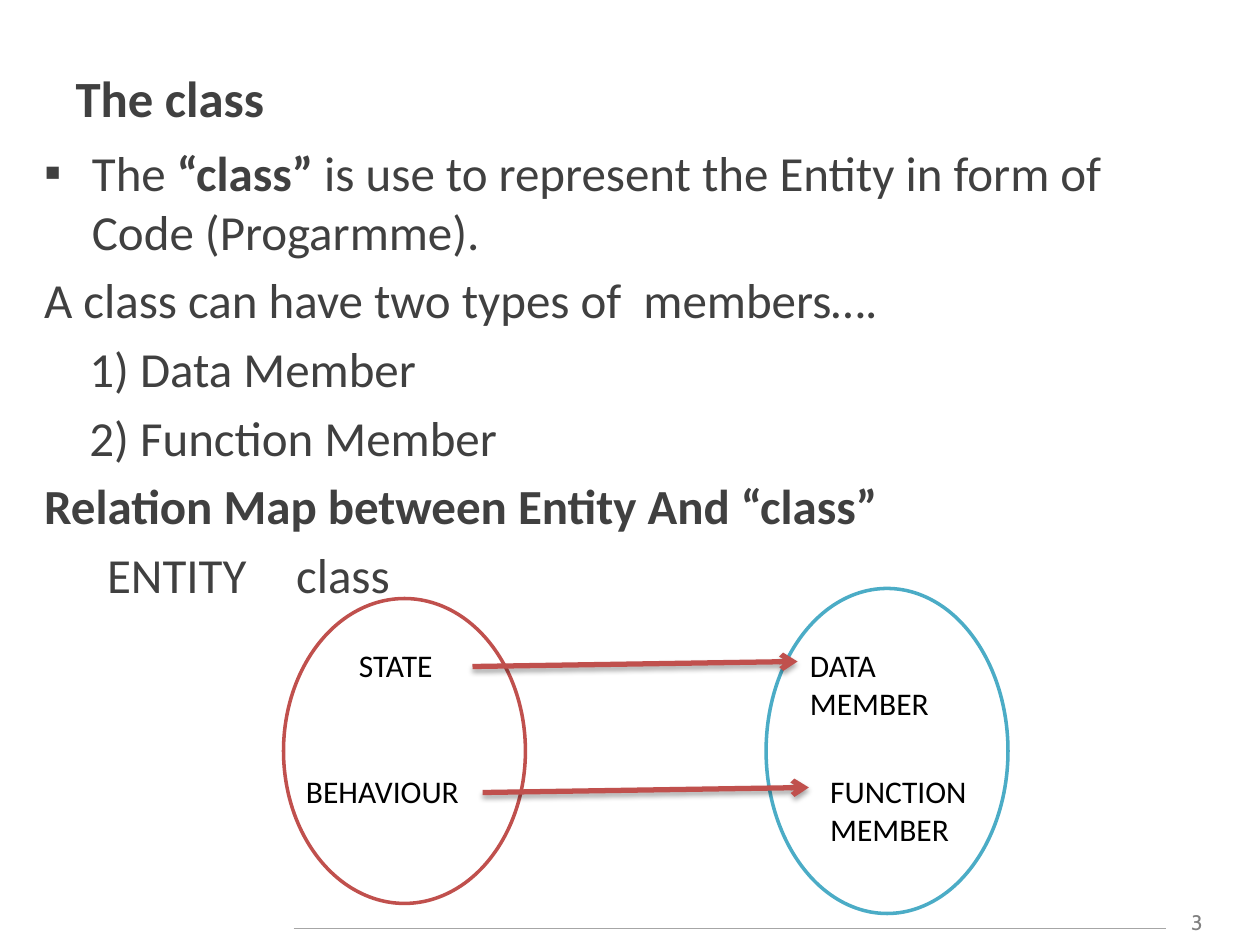
from dataclasses import dataclass

from lxml import etree
from pptx import Presentation
from pptx.dml.color import RGBColor
from pptx.enum.shapes import MSO_CONNECTOR, MSO_SHAPE
from pptx.enum.text import MSO_ANCHOR, MSO_AUTO_SIZE, PP_ALIGN
from pptx.oxml.ns import qn
from pptx.util import Inches, Pt

STRAIGHT = MSO_CONNECTOR.STRAIGHT
OVAL = MSO_SHAPE.OVAL
LEFT, CENTER = PP_ALIGN.LEFT, PP_ALIGN.CENTER
MIDDLE = MSO_ANCHOR.MIDDLE
NO_FIT = MSO_AUTO_SIZE.NONE

FONT = "Calibri"
COLORS = {
    "text": "404040",
    "label": "000000",
    "number": "808080",
    "rule": "A6A6A6",
    "entity": "C0504D",
    "class": "4BACC6",
    "white": "FFFFFF",
    "shadow": "000000",
}


@dataclass
class Box:
    left: float
    top: float
    width: float
    height: float

    def lengths(self):
        return [Inches(v) for v in (self.left, self.top, self.width, self.height)]


@dataclass
class Oval:
    box: Box
    color: str


@dataclass
class Label:
    text: str
    box: Box
    size: int = 18
    color: str = "label"
    font: str = FONT
    align: PP_ALIGN = LEFT


@dataclass
class Line:
    start: tuple[float, float]
    end: tuple[float, float]
    color: str
    weight: float
    arrow: bool = False


@dataclass
class BodyLine:
    runs: list[tuple[str, bool]]
    margin: float = 0
    indent: float = 0
    bullet: str = ""
    tabs: tuple[float, ...] = ()


TITLE_BOX = Box(0.5, 0.3, 9, 0.95)
BODY_BOX = Box(0.25, 1.08, 9.25, 6.17)
BODY = [
    BodyLine([("The ", False), ("“class” ", True),
              ("is use to represent the Entity in form of Code (Progarmme).", False)],
             0.38, -0.38, "▪"),
    BodyLine([("A class can have two types of  members….", False)]),
    BodyLine([("1) Data Member", False)], 0.36),
    BodyLine([("2) Function Member", False)], 0.36),
    BodyLine([("Relation Map between Entity And “class”", True)]),
    BodyLine([("\tENTITY\tclass", False)], tabs=(1.59, 4.53)),
]
OVALS = [
    Oval(Box(2.25, 4.75, 1.92, 2.42), "entity"),
    Oval(Box(6.08, 4.67, 1.92, 2.58), "class"),
]
LABELS = [
    Label("STATE", Box(2.75, 5.08, 1, 0.42)),
    Label("BEHAVIOUR", Box(2.33, 6.08, 1.75, 0.4)),
    Label("FUNCTION MEMBER", Box(6.49, 6.08, 1.58, 0.71)),
    Label("DATA MEMBER", Box(6.33, 5.08, 1.58, 0.71)),
]
ARROWS = [
    Line((3.75, 5.29), (6.33, 5.25), "entity", 3, True),
    Line((3.83, 6.29), (6.42, 6.25), "entity", 3, True),
]
PAGE_NUMBER = Label("3", Box(9.25, 7.17, 0.5, 0.3), 12, "number", "Cabin", CENTER)
FOOTER_RULE = Line((2.33, 7.37), (9.25, 7.37), "rule", 0.75)


def rgb(name: str) -> RGBColor:
    return RGBColor.from_string(COLORS[name])


def add_run(p, text: str, size: float, color: str, bold=False, font=FONT) -> None:
    r = p.add_run()
    r.text = text
    r.font.name = font
    r.font.size = Pt(size)
    r.font.bold = bold
    r.font.color.rgb = rgb(color)


def place(sp, box: Box) -> None:
    sp.left, sp.top, sp.width, sp.height = box.lengths()


def fill_title(sp) -> None:
    place(sp, TITLE_BOX)
    tf = sp.text_frame
    tf.auto_size = NO_FIT
    tf.vertical_anchor = MIDDLE
    p = tf.paragraphs[0]
    p.alignment = LEFT
    add_run(p, "The class", 29, "text", bold=True)


def format_paragraph(p, line: BodyLine) -> None:
    """Set the indents, bullet and tab stops of a body paragraph."""
    pPr = p._p.get_or_add_pPr()
    pPr.set("marL", str(Inches(line.margin)))
    pPr.set("indent", str(Inches(line.indent)))
    if line.bullet:
        etree.SubElement(pPr, qn("a:buChar"), char=line.bullet)
    else:
        etree.SubElement(pPr, qn("a:buNone"))
    if line.tabs:
        tabs = etree.SubElement(pPr, qn("a:tabLst"))
        for pos in line.tabs:
            etree.SubElement(tabs, qn("a:tab"), pos=str(Inches(pos)), algn="l")


def fill_body(sp) -> None:
    place(sp, BODY_BOX)
    tf = sp.text_frame
    tf.auto_size = NO_FIT
    for i, line in enumerate(BODY):
        p = tf.add_paragraph() if i else tf.paragraphs[0]
        format_paragraph(p, line)
        for text, bold in line.runs:
            add_run(p, text, 28, "text", bold)


def add_oval(s, oval: Oval) -> None:
    sp = s.shapes.add_shape(OVAL, *oval.box.lengths())
    sp.shadow.inherit = False
    sp.fill.solid()
    sp.fill.fore_color.rgb = rgb("white")
    sp.line.color.rgb = rgb(oval.color)
    sp.line.width = Pt(2)


def add_label(s, label: Label) -> None:
    tf = s.shapes.add_textbox(*label.box.lengths()).text_frame
    tf.word_wrap = True
    p = tf.paragraphs[0]
    p.alignment = label.align
    add_run(p, label.text, label.size, label.color, font=label.font)


def add_line(s, line: Line) -> None:
    """Draw a line; an arrow also gets a head and a soft shadow below."""
    ends = [Inches(v) for v in (*line.start, *line.end)]
    cx = s.shapes.add_connector(STRAIGHT, *ends)
    cx.line.color.rgb = rgb(line.color)
    cx.line.width = Pt(line.weight)
    spPr = cx._element.spPr
    effects = etree.SubElement(spPr, qn("a:effectLst"))
    if line.arrow:
        etree.SubElement(spPr.find(qn("a:ln")), qn("a:tailEnd"), type="arrow")
        shadow = etree.SubElement(effects, qn("a:outerShdw"), blurRad=str(Pt(3.1)),
                                  dist=str(Pt(1.8)), dir="5400000", rotWithShape="0")
        color = etree.SubElement(shadow, qn("a:srgbClr"), val=COLORS["shadow"])
        etree.SubElement(color, qn("a:alpha"), val="35000")


def main() -> None:
    prs = Presentation()
    prs.slide_width, prs.slide_height = Inches(10), Inches(7.5)
    s = prs.slides.add_slide(prs.slide_layouts[1])
    fill_title(s.shapes.title)
    fill_body(s.placeholders[1])
    add_line(s, FOOTER_RULE)
    for oval in OVALS:
        add_oval(s, oval)
    for label in [*LABELS, PAGE_NUMBER]:
        add_label(s, label)
    for arrow in ARROWS:
        add_line(s, arrow)
    prs.save("out.pptx")


if __name__ == "__main__":
    main()
